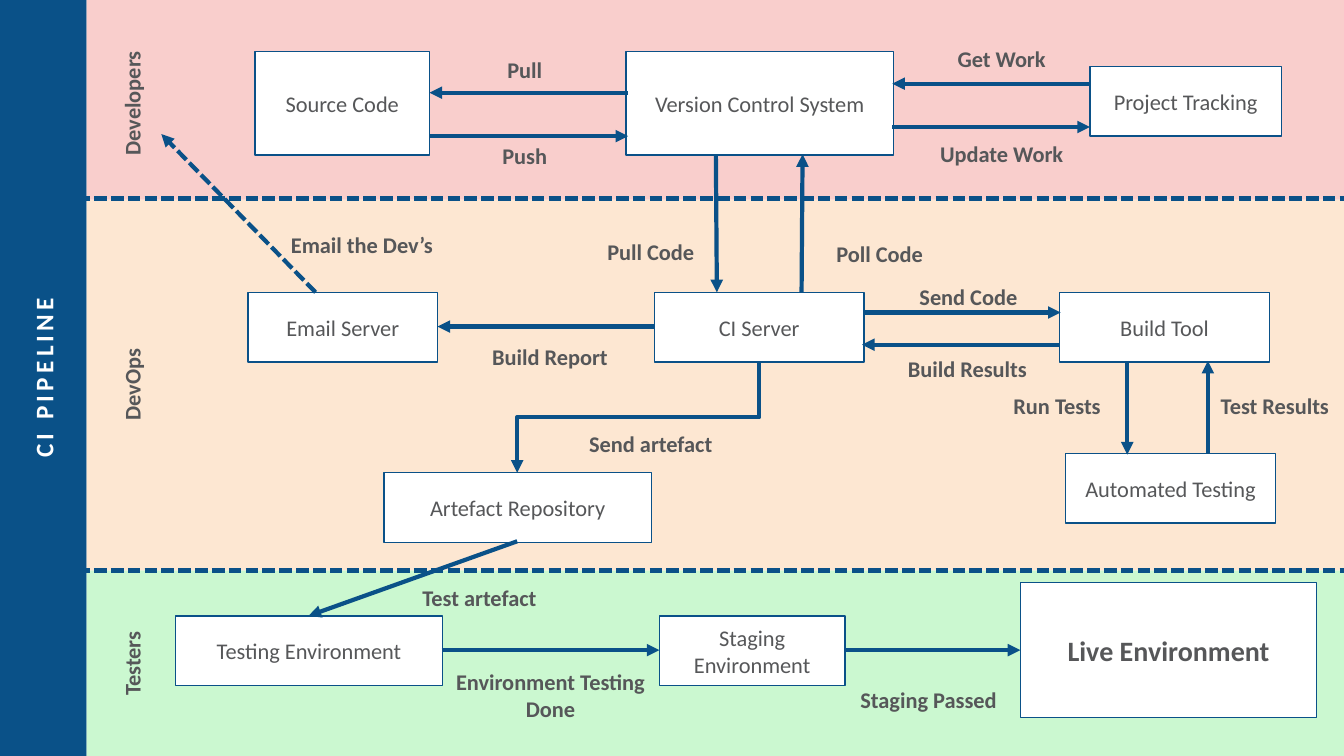
from pptx import Presentation
from pptx.dml.color import RGBColor
from pptx.enum.dml import MSO_LINE
from pptx.enum.shapes import MSO_CONNECTOR, MSO_SHAPE
from pptx.enum.text import MSO_ANCHOR, PP_ALIGN
from pptx.oxml.ns import qn
from pptx.util import Inches, Pt
from lxml import etree

hues = {"blue": "0A5188", "green": "CBF8D0", "peach": "FDE7D2",
        "pink": "F9CECC", "white": "FFFFFF", "grey": "565759"}
color = {name: RGBColor.from_string(code) for name, code in hues.items()}

deck = Presentation()
deck.slide_width = Inches(13.33)
deck.slide_height = Inches(7.5)
slide = deck.slides.add_slide(deck.slide_layouts[6])
shapes = slide.shapes


def write(shape, text, size=16, bold=True, hue="grey"):
    frame = shape.text_frame
    frame.word_wrap = True
    frame.vertical_anchor = MSO_ANCHOR.MIDDLE
    para = frame.paragraphs[0]
    para.alignment = PP_ALIGN.CENTER
    run = para.add_run()
    run.text = text
    run.font.name = "Calibri"
    run.font.size = Pt(size)
    run.font.bold = bold
    run.font.color.rgb = color[hue]
    return run


def link(x1, y1, x2, y2, dash=False, head=True, kind=MSO_CONNECTOR.STRAIGHT):
    line = shapes.add_connector(kind, Inches(x1), Inches(y1), Inches(x2), Inches(y2))
    line.line.color.rgb = color["blue"]
    line.line.width = Pt(3)
    if dash:
        line.line.dash_style = MSO_LINE.SQUARE_DOT
    props = line.element.spPr
    if head:
        etree.SubElement(props.find(qn("a:ln")), qn("a:tailEnd"), type="triangle")
    etree.SubElement(props, qn("a:effectLst"))
    return line


bands = [
    (0, 0, 0.86, 7.5, "blue"),
    (0.86, 5.66, 12.47, 1.84, "green"),
    (0.86, 1.98, 12.47, 3.68, "peach"),
    (0.86, 0, 12.47, 1.98, "pink"),
]
for x, y, w, h, hue in bands:
    band = shapes.add_shape(MSO_SHAPE.RECTANGLE, Inches(x), Inches(y), Inches(w), Inches(h))
    band.shadow.inherit = False
    band.fill.solid()
    band.fill.fore_color.rgb = color[hue]
    band.line.fill.background()

for y in (1.97, 5.66):
    link(0.6, y, 13.33, y, dash=True, head=False)

title = shapes.add_textbox(Inches(-3.41), Inches(3.59), Inches(7.68), Inches(0.32))
title.rotation = 270
run = write(title, "CI PIPELINE", 18, hue="white")
run.font._element.set("spc", "300")

lanes = [("Developers", 0.68), ("DevOps", 3.47), ("Testers", 6.24)]
for text, y in lanes:
    lane = shapes.add_textbox(Inches(0.61), Inches(y), Inches(1.39), Inches(0.69))
    lane.rotation = 270
    write(lane, text)

boxes = [
    ("Source Code", 2.53, 0.51, 1.73, 1.03),
    ("Version Control System", 6.21, 0.51, 2.65, 1.03),
    ("Project Tracking", 10.81, 0.66, 1.9, 0.69),
    ("Email Server", 2.46, 2.9, 1.88, 0.69),
    ("CI Server", 6.49, 2.9, 2.08, 0.69),
    ("Build Tool", 10.51, 2.9, 2.08, 0.69),
    ("Automated Testing", 10.57, 4.5, 2.08, 0.69),
    ("Artefact Repository", 3.81, 4.69, 2.65, 0.69),
    ("Testing Environment", 1.74, 6.11, 2.65, 0.69),
    ("Staging Environment", 6.54, 6.11, 1.84, 0.69),
    ("Live Environment", 10.12, 5.78, 2.94, 1.34),
]
for text, x, y, w, h in boxes:
    box = shapes.add_shape(MSO_SHAPE.RECTANGLE, Inches(x), Inches(y), Inches(w), Inches(h))
    box.shadow.inherit = False
    box.fill.solid()
    box.fill.fore_color.rgb = color["white"]
    box.line.color.rgb = color["blue"]
    box.line.width = Pt(1)
    live = text == "Live Environment"
    write(box, text, 20 if live else 16, live)

arrows = [
    (4.26, 1.35, 6.23, 1.35),
    (6.23, 0.92, 4.26, 0.92),
    (8.85, 1.26, 10.81, 1.26),
    (10.81, 0.83, 8.85, 0.83),
    (7.1, 1.53, 7.11, 2.9),
    (7.95, 2.9, 7.96, 1.53),
    (8.56, 3.1, 10.52, 3.1),
    (10.51, 3.42, 8.55, 3.42),
    (11.18, 3.58, 11.18, 4.51),
    (11.98, 4.5, 11.98, 3.58),
    (6.49, 3.24, 4.34, 3.24),
    (5.13, 5.37, 3.06, 6.11),
    (4.38, 6.45, 6.54, 6.45),
    (8.38, 6.45, 10.12, 6.45),
]
for ends in arrows:
    link(*ends)
link(3.13, 2.9, 1.6, 1.33, dash=True)

bend = link(5.78, 2.94, 6.88, 5.34, kind=MSO_CONNECTOR.ELBOW)
bend.element.spPr.xfrm.set("rot", "5400000")

labels = [
    ("Push", 4.34, 1.35, 1.73, 0.38),
    ("Pull", 4.34, 0.5, 1.73, 0.38),
    ("Update Work", 9.07, 1.33, 1.73, 0.38),
    ("Get Work", 9.07, 0.39, 1.73, 0.38),
    ("Pull Code", 5.59, 2.31, 1.73, 0.38),
    ("Poll Code", 7.86, 2.33, 1.73, 0.38),
    ("Send Code", 8.74, 2.75, 1.73, 0.38),
    ("Run Tests", 9.62, 3.83, 1.73, 0.38),
    ("Test Results", 11.96, 3.83, 1.37, 0.38),
    ("Build Results", 8.72, 3.45, 1.75, 0.41),
    ("Build Report", 4.58, 3.33, 1.75, 0.41),
    ("Email the Dev’s", 2.6, 2.18, 1.98, 0.49),
    ("Send artefact", 5.58, 4.2, 1.75, 0.41),
    ("Test artefact", 3.88, 5.72, 1.75, 0.41),
    ("Environment Testing Done", 4.32, 6.63, 2.28, 0.54),
    ("Staging Passed", 8.42, 6.67, 1.58, 0.54),
]
for text, x, y, w, h in labels:
    label = shapes.add_textbox(Inches(x), Inches(y), Inches(w), Inches(h))
    write(label, text)

deck.save("out.pptx")
